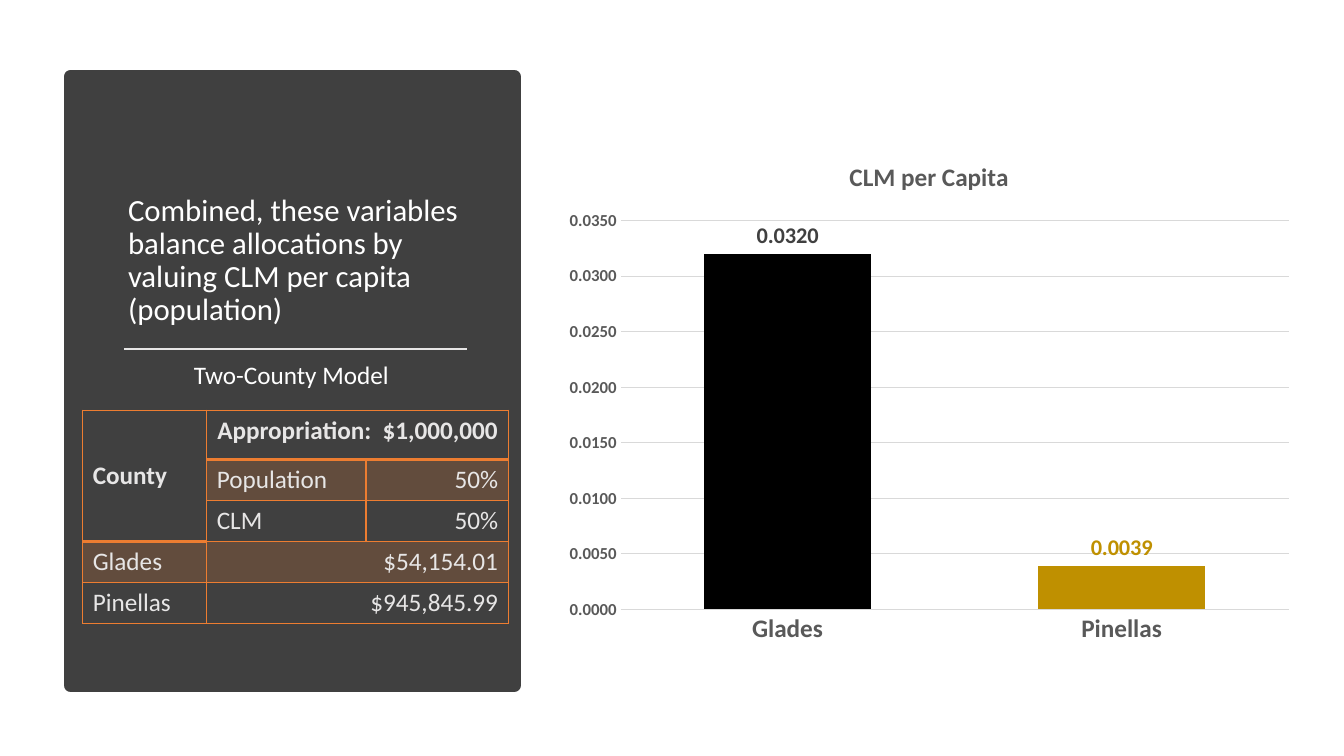
from dataclasses import dataclass
from typing import Optional

from lxml.etree import SubElement
from pptx import Presentation
from pptx.chart.data import CategoryChartData
from pptx.dml.color import RGBColor
from pptx.enum.chart import XL_CHART_TYPE, XL_LABEL_POSITION, XL_TICK_MARK
from pptx.enum.shapes import MSO_CONNECTOR, MSO_SHAPE
from pptx.enum.text import MSO_ANCHOR, MSO_AUTO_SIZE, PP_ALIGN
from pptx.oxml.ns import qn
from pptx.util import Inches, Pt

FONT = "Calibri"
WHITE = RGBColor(0xFF, 0xFF, 0xFF)
PANEL = RGBColor(0x40, 0x40, 0x40)
PALE = RGBColor(0xE7, 0xE6, 0xE6)
ORANGE = RGBColor(0xED, 0x7D, 0x31)
GRID = RGBColor(0xD9, 0xD9, 0xD9)
CHART_TEXT = RGBColor(0x59, 0x59, 0x59)
BLACK = RGBColor(0, 0, 0)
GOLD = RGBColor(0xBF, 0x90, 0x00)


@dataclass
class Entry:
    row: int
    col: int
    text: str
    rows: int = 1
    cols: int = 1
    align: Optional[PP_ALIGN] = None
    bold: bool = False
    anchor: MSO_ANCHOR = MSO_ANCHOR.TOP


@dataclass
class County:
    name: str
    clm: float
    bar: RGBColor
    label: RGBColor


ENTRIES = [
    Entry(0, 0, "County", rows=3, bold=True, anchor=MSO_ANCHOR.MIDDLE),
    Entry(0, 1, "Appropriation:  $1,000,000", cols=2, align=PP_ALIGN.RIGHT, bold=True),
    Entry(1, 1, "Population"),
    Entry(1, 2, "50%", align=PP_ALIGN.RIGHT),
    Entry(2, 1, "CLM"),
    Entry(2, 2, "50%", align=PP_ALIGN.RIGHT),
    Entry(3, 0, "Glades"),
    Entry(3, 1, "$54,154.01", cols=2, align=PP_ALIGN.RIGHT),
    Entry(4, 0, "Pinellas"),
    Entry(4, 1, "$945,845.99", cols=2, align=PP_ALIGN.RIGHT),
]
COUNTIES = [
    County("Glades", 0.0320, BLACK, PANEL),
    County("Pinellas", 0.0039, GOLD, GOLD),
]
# Cells directly above and below the heavy rules under the header
HEAVY_BOTTOM = {(0, 1), (0, 2), (2, 0)}
HEAVY_TOP = {(row + 1, col) for row, col in HEAVY_BOTTOM}
TINTED = {(1, 1), (1, 2), (3, 0), (3, 1), (3, 2)}


def style_font(font, size: float, color: RGBColor, bold: bool = False) -> None:
    font.name = FONT
    font.size = Pt(size)
    font.bold = bold
    font.color.rgb = color


def add_run(p, text: str, size: float, color: RGBColor, bold: bool = False) -> None:
    r = p.add_run()
    r.text = text
    style_font(r.font, size, color, bold)


def write_box(sp, text: str, size: float, align: PP_ALIGN) -> None:
    tf = sp.text_frame
    tf.word_wrap = True
    tf.auto_size = MSO_AUTO_SIZE.NONE
    p = tf.paragraphs[0]
    p.alignment = align
    p.line_spacing = 0.9
    p.space_before = Pt(0)
    add_run(p, text, size, WHITE)


def set_border(cell, side: str, width: float) -> None:
    tc_pr = cell._tc.get_or_add_tcPr()
    ln = SubElement(tc_pr, qn(f"a:ln{side}"), w=str(Pt(width)))
    fill = SubElement(ln, qn("a:solidFill"))
    SubElement(fill, qn("a:srgbClr"), val=str(ORANGE))


def tint(cell) -> None:
    cell.fill.solid()
    cell.fill.fore_color.rgb = ORANGE
    color = cell._tc.tcPr.find(f"{qn('a:solidFill')}/{qn('a:srgbClr')}")
    SubElement(color, qn("a:alpha"), val="20000")


def add_allocation_table(s) -> None:
    table = s.shapes.add_table(5, 3, Inches(0.82), Inches(4.07),
                               Inches(4.22), Inches(2.09)).table
    table.first_row = table.horz_banding = False
    for column, width in zip(table.columns, (1.23, 1.58, 1.41)):
        column.width = Inches(width)
    for i, row in enumerate(table.rows):
        row.height = Inches(0.4 if i else 0.49)
        for j, cell in enumerate(row.cells):
            set_border(cell, "L", 1)
            set_border(cell, "R", 1)
            set_border(cell, "T", 2 if (i, j) in HEAVY_TOP else 1)
            set_border(cell, "B", 2 if (i, j) in HEAVY_BOTTOM else 1)
            if (i, j) in TINTED:
                tint(cell)
            else:
                cell.fill.background()
    for e in ENTRIES:
        cell = table.cell(e.row, e.col)
        if e.rows * e.cols > 1:
            cell.merge(table.cell(e.row + e.rows - 1, e.col + e.cols - 1))
        cell.vertical_anchor = e.anchor
        p = cell.text_frame.paragraphs[0]
        p.alignment = e.align
        add_run(p, e.text, 18, PALE, e.bold)


def add_clm_chart(s) -> None:
    title = "CLM per Capita"
    data = CategoryChartData(number_format="0.0000")
    data.categories = [c.name for c in COUNTIES]
    data.add_series(title, [c.clm for c in COUNTIES])
    chart = s.shapes.add_chart(XL_CHART_TYPE.COLUMN_CLUSTERED, Inches(5.5), Inches(1.38),
                               Inches(7.43), Inches(5.11), data).chart
    style_font(chart.font, 10, BLACK)
    chart.has_legend = False
    chart.has_title = True
    chart.chart_title.include_in_layout = False
    add_run(chart.chart_title.text_frame.paragraphs[0], title, 18, CHART_TEXT, True)

    # Axes
    for axis, size in ((chart.category_axis, 18), (chart.value_axis, 12)):
        axis.major_tick_mark = axis.minor_tick_mark = XL_TICK_MARK.NONE
        style_font(axis.tick_labels.font, size, CHART_TEXT, True)
    chart.category_axis.format.line.color.rgb = GRID
    chart.category_axis.format.line.width = Pt(1)
    values = chart.value_axis
    values.minimum_scale, values.maximum_scale, values.major_unit = 0, 0.035, 0.005
    values.tick_labels.number_format = "0.0000"
    values.tick_labels.number_format_is_linked = False
    values.format.line.fill.background()
    values.major_gridlines.format.line.color.rgb = GRID
    values.major_gridlines.format.line.width = Pt(0.75)

    # Bars and their labels
    plot = chart.plots[0]
    plot.gap_width, plot.overlap = 100, -24
    plot.vary_by_categories = False
    labels = plot.series[0].data_labels
    labels.show_value = True
    labels.number_format = "0.0000"
    labels.number_format_is_linked = False
    labels.position = XL_LABEL_POSITION.OUTSIDE_END
    style_font(labels.font, 16, PANEL, True)
    for i, county in enumerate(COUNTIES):
        point = plot.series[0].points[i]
        point.format.fill.solid()
        point.format.fill.fore_color.rgb = county.bar
        style_font(point.data_label.font, 16, county.label, True)
        point.data_label.position = XL_LABEL_POSITION.OUTSIDE_END


def main() -> None:
    prs = Presentation()
    prs.slide_width, prs.slide_height = Inches(13.33), Inches(7.5)
    s = prs.slides.add_slide(prs.slide_layouts[2])
    title = s.shapes.title._element
    title.getparent().remove(title)

    # Dark panel, placed behind the body text
    panel = s.shapes.add_shape(MSO_SHAPE.RECTANGLE, Inches(0.7), Inches(0.76),
                               Inches(4.4), Inches(6.04))
    panel.shadow.inherit = False
    panel.fill.solid()
    panel.fill.fore_color.rgb = PANEL
    panel.line.color.rgb = PANEL
    panel.line.width = Pt(10)
    s.shapes._spTree.insert(2, panel._element)

    # Message, rule and table caption
    body = s.placeholders[1]
    body.left, body.top = Inches(1.17), Inches(1.87)
    body.width, body.height = Inches(3.61), Inches(1.44)
    body.text_frame.vertical_anchor = MSO_ANCHOR.MIDDLE
    write_box(body, "Combined, these variables balance allocations by valuing "
                    "CLM per capita (population)", 22, PP_ALIGN.LEFT)
    rule = s.shapes.add_connector(MSO_CONNECTOR.STRAIGHT, Inches(1.23), Inches(3.46),
                                  Inches(4.63), Inches(3.46))
    rule.line.color.rgb = PALE
    rule.line.width = Pt(1.75)
    SubElement(rule._element.spPr, qn("a:effectLst"))
    caption = s.shapes.add_textbox(Inches(1.17), Inches(3.55), Inches(3.44), Inches(0.49))
    write_box(caption, "Two-County Model", 18, PP_ALIGN.CENTER)

    add_allocation_table(s)
    add_clm_chart(s)
    prs.save("out.pptx")


if __name__ == "__main__":
    main()
